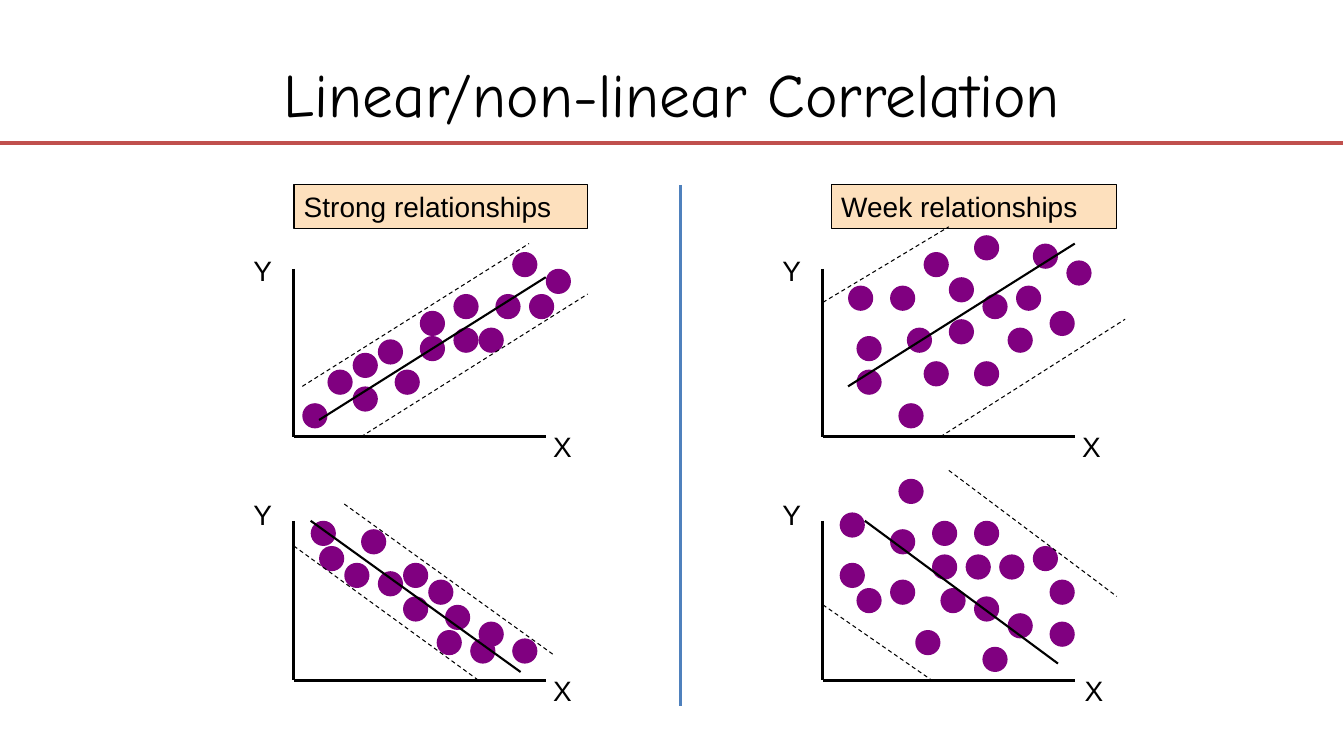
"""Build a slide of strong and weak linear correlation scatter plots."""
from lxml.etree import SubElement
from pptx import Presentation
from pptx.dml.color import RGBColor
from pptx.enum.dml import MSO_LINE as Dash
from pptx.enum.shapes import MSO_CONNECTOR as Link, MSO_SHAPE as Shape
from pptx.enum.text import MSO_ANCHOR as Anchor, PP_ALIGN as Align
from pptx.oxml.ns import qn
from pptx.util import Cm, Pt

BLACK = RGBColor(0x00, 0x00, 0x00)
PURPLE = RGBColor(0x80, 0x00, 0x80)
PEACH = RGBColor(0xFD, 0xE0, 0xBD)
BLUE = RGBColor(0x4F, 0x81, 0xBD)
RED = RGBColor(0xC0, 0x50, 0x4D)
UNIT = 2.54 / 12
DOT = 3
SPAN = 30

deck = Presentation()
deck.slide_width, deck.slide_height = Cm(33.88), Cm(19.05)
slide = deck.slides.add_slide(deck.slide_layouts[5])
shapes = slide.shapes


def line(ends, width, color=BLACK, dash=None):
    link = shapes.add_connector(Link.STRAIGHT, *[Cm(n * UNIT) for n in ends])
    link.line.color.rgb = color
    link.line.width = Pt(width)
    if dash:
        link.line.dash_style = dash
    SubElement(link._element.spPr, qn("a:effectLst"))


def write(box, text, wrap):
    frame = box.text_frame
    frame.text = text
    frame.word_wrap = wrap
    frame.vertical_anchor = Anchor.TOP
    par = frame.paragraphs[0]
    par.alignment = Align.LEFT
    font = par.runs[0].font
    font.name, font.size = "Arial", Pt(20)
    font.color.rgb = BLACK


title = shapes.title
title.left, title.top, title.width, title.height = Cm(1.7), Cm(0.76), Cm(30.48), Cm(3.18)
title.text_frame.text = "Linear/non-linear Correlation"
title.text_frame.vertical_anchor = Anchor.MIDDLE
head = title.text_frame.paragraphs[0]
head.alignment = Align.CENTER
font = head.runs[0].font
font.name, font.size = "Comic Neue", Pt(44)
font.color.rgb = BLACK

line((0, 17, 160, 17), 3, RED)
line((81, 22, 81, 84), 2.25, BLUE)

for text, left, width in [("Strong relationships", 35, 35), ("Week relationships", 99, 34)]:
    box = shapes.add_shape(Shape.RECTANGLE, Cm(left * UNIT), Cm(22 * UNIT),
                           Cm(width * UNIT), Cm(1.11))
    box.shadow.inherit = False
    box.fill.solid()
    box.fill.fore_color.rgb = PEACH
    box.line.color.rgb = BLACK
    box.line.width = Pt(1)
    write(box, text, True)

plots = [
    (35, 32, 52, 29.6, 64.7, (38, 50, 65, 33),
     [(36, 46, 63, 29), (43, 52, 70, 35)],
     [(36, 48), (39, 44), (61, 30), (63, 35), (42, 46), (65, 32), (54, 39), (54, 35),
      (59, 35), (50, 37), (42, 42), (45, 40.4), (57, 39), (50, 40), (47, 44)]),
    (35, 62, 81, 58.6, 64.7, (37, 62, 62, 80),
     [(41, 60, 66, 78), (35, 65, 57, 81)],
     [(56, 76), (38, 65), (61, 76), (43, 63), (53, 72), (57, 74), (48, 67), (37, 62),
      (41, 67), (45, 68), (52, 75), (51, 69), (48, 71)]),
    (98, 32, 52, 29.6, 127.7, (101, 46, 128, 29),
     [(98, 36, 113, 27), (112, 52, 134, 38)],
     [(113, 33), (102, 44), (116, 43), (121, 34), (106, 34), (107, 48), (110, 43),
      (117, 35), (110, 30), (102, 40), (101, 34), (108, 39), (120, 39), (113, 38),
      (116, 28), (127, 31), (125, 37), (123, 29)]),
    (98, 62, 81, 58.6, 128, (103, 62, 126, 79),
     [(113, 56, 133, 71), (98, 72, 111, 81)],
     [(100, 67), (100, 61), (106, 69), (117, 77), (102, 70), (111, 62), (116, 71),
      (115, 66), (111, 66), (106, 63), (119, 66), (112, 70), (109, 75), (120, 73),
      (125, 69), (123, 65), (125, 74), (116, 62), (107, 57)]),
]

for left, top, base, y_top, x_left, trend, bands, dots in plots:
    line((left, top, left, base), 2)
    line((left, base, left + SPAN, base), 2)
    for x, y in dots:
        dot = shapes.add_shape(Shape.OVAL, Cm(x * UNIT), Cm(y * UNIT),
                               Cm(DOT * UNIT), Cm(DOT * UNIT))
        dot.shadow.inherit = False
        dot.fill.solid()
        dot.fill.fore_color.rgb = PURPLE
        dot.line.fill.background()
    for text, x, y in [("Y", left - 6, y_top), ("X", x_left, base - 1.4)]:
        label = shapes.add_textbox(Cm(x * UNIT), Cm(y * UNIT), Cm(0.97), Cm(1.11))
        write(label, text, False)
    for band in bands:
        line(band, 0.75, dash=Dash.DASH)
    line(trend, 1.5)

deck.save("out.pptx")
